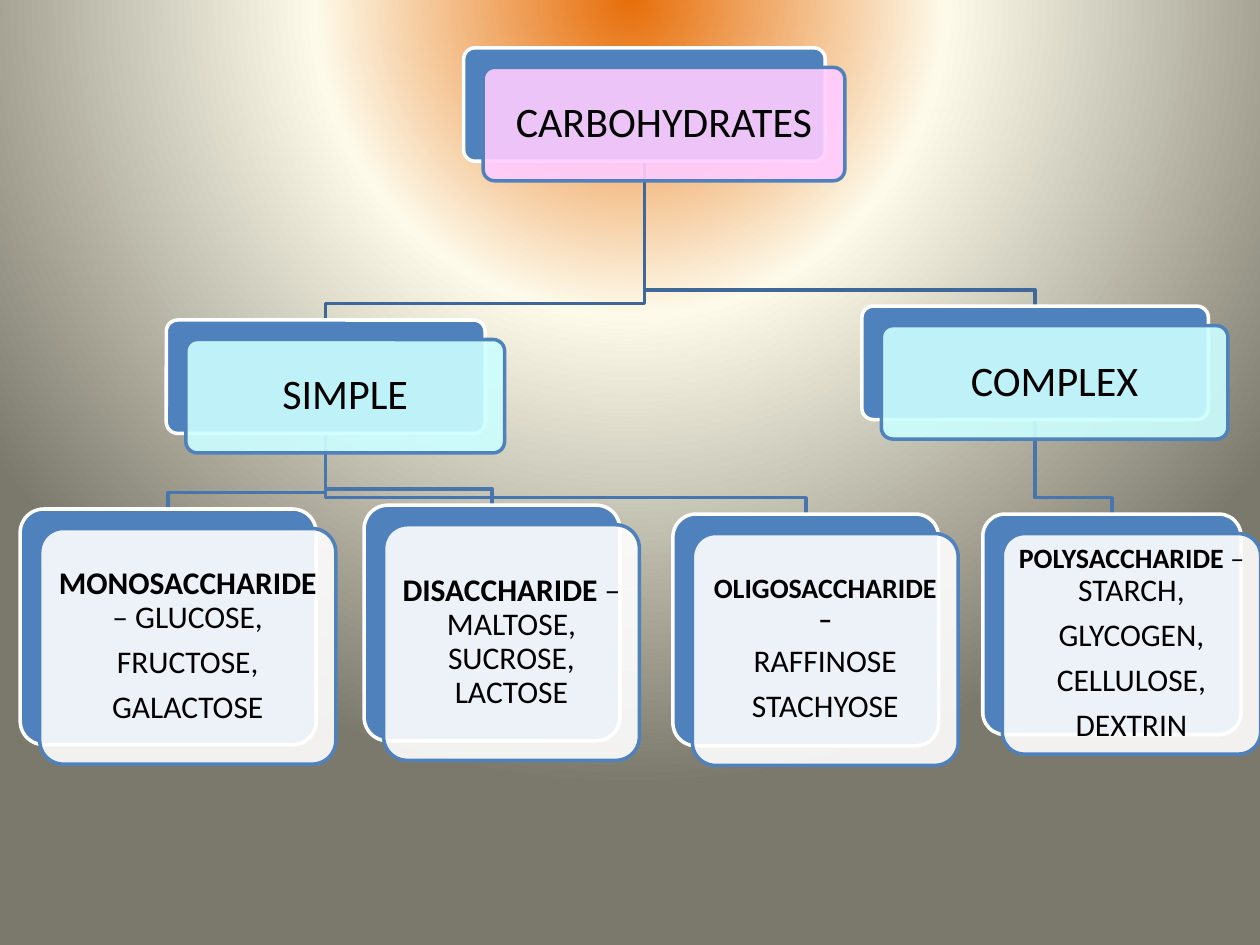
from lxml.etree import SubElement
from pptx import Presentation
from pptx.dml.color import RGBColor
from pptx.enum.shapes import MSO_SHAPE
from pptx.enum.text import MSO_ANCHOR, PP_ALIGN
from pptx.oxml import parse_xml
from pptx.oxml.ns import nsdecls, qn
from pptx.util import Inches, Pt

WIDTH, HEIGHT = 10, 7.5
BLUE = RGBColor(0x4F, 0x81, 0xBD)
WHITE = RGBColor(0xFF, 0xFF, 0xFF)
BLACK = RGBColor(0x00, 0x00, 0x00)
PINK = RGBColor(0xFF, 0xCC, 0xFF)
CYAN = RGBColor(0xCC, 0xFF, 0xFF)
UPPER_LINE = RGBColor(0x3F, 0x67, 0x97)
LOWER_LINE = RGBColor(0x48, 0x75, 0xAC)
BACKGROUND_STOPS = [(0, "E76E0A"), (40, "FDFAEA"), (100, "7B796B")]

FONT = "Calibri"
OFFSET = 0.155  # front card relative to back card
ELBOW = 0.13    # height of the last leg of a connector

# name: (left, top, width, height of back card), front fill, inset,
#       paragraphs of (text, size, bold) runs
CARDS = {
    "carbohydrates": ((3.68, 0.38, 2.87, 0.9), PINK, 0.1,
                      [[("CARBOHYDRATES", 24, False)]]),
    "simple": ((1.32, 2.54, 2.53, 0.9), CYAN, 0.1,
               [[("SIMPLE", 24, False)]]),
    "monosaccharide": ((0.16, 4.04, 2.35, 1.87), WHITE, 0.07,
                       [[("MONOSACCHARIDE", 18, True), (" – GLUCOSE,", 18, False)],
                        [("FRUCTOSE,", 18, False)],
                        [("GALACTOSE", 18, False)]]),
    "disaccharide": ((2.89, 4.01, 2.03, 1.87), WHITE, 0.07,
                     [[("DISACCHARIDE", 18, True),
                       (" – MALTOSE, SUCROSE, LACTOSE", 18, False)]]),
    "oligosaccharide": ((5.34, 4.08, 2.11, 1.84), WHITE, 0.07,
                        [[("OLIGOSACCHARIDE –", 16, True)],
                         [("RAFFINOSE", 18, False)],
                         [("STACHYOSE", 18, False)]]),
    "complex": ((6.84, 2.43, 2.75, 0.9), CYAN, 0.1,
                [[("COMPLEX", 24, False)]]),
    "polysaccharide": ((7.8, 4.08, 2.05, 1.75), WHITE, 0.07,
                       [[("POLYSACCHARIDE", 16, True), (" – ", 16, False),
                         ("STARCH,", 18, False)],
                        [("GLYCOGEN,", 18, False)],
                        [("CELLULOSE,", 18, False)],
                        [("DEXTRIN", 18, False)]]),
}

# parent, child, line colour
LINKS = [
    ("complex", "polysaccharide", LOWER_LINE),
    ("carbohydrates", "complex", UPPER_LINE),
    ("simple", "oligosaccharide", LOWER_LINE),
    ("simple", "disaccharide", LOWER_LINE),
    ("simple", "monosaccharide", LOWER_LINE),
    ("carbohydrates", "simple", UPPER_LINE),
]


def set_background(slide):
    stops = "".join(
        f'<a:gs pos="{position * 1000}"><a:srgbClr val="{color}"/></a:gs>'
        for position, color in BACKGROUND_STOPS)
    background = parse_xml(
        f'<p:bg {nsdecls("p", "a")}><p:bgPr><a:gradFill rotWithShape="1">'
        f'<a:gsLst>{stops}</a:gsLst><a:path path="circle">'
        '<a:fillToRect l="50000" t="-80000" r="50000" b="180000"/></a:path>'
        '</a:gradFill><a:effectLst/></p:bgPr></p:bg>')
    slide.element.cSld.insert(0, background)


def add_link(slide, parent, child, color):
    left, top, width, height = CARDS[parent][0]
    start_x, start_y = left + width / 2, top + height
    left, end_y, width, _ = CARDS[child][0]
    end_x, bend_y = left + width / 2, end_y - ELBOW
    builder = slide.shapes.build_freeform(Inches(start_x), Inches(start_y))
    corners = [(start_x, bend_y), (end_x, bend_y), (end_x, end_y)]
    builder.add_line_segments([(Inches(x), Inches(y)) for x, y in corners], close=False)
    link = builder.convert_to_shape()
    link.shadow.inherit = False
    link.fill.background()
    link.line.color.rgb = color
    link.line.width = Pt(2)


def add_plate(slide, box, fill, line):
    plate = slide.shapes.add_shape(MSO_SHAPE.ROUNDED_RECTANGLE, *map(Inches, box))
    plate.adjustments[0] = 0.1
    plate.shadow.inherit = False
    plate.fill.solid()
    plate.fill.fore_color.rgb = fill
    plate.line.color.rgb = line
    plate.line.width = Pt(2)
    return plate


def add_card(slide, box, fill, inset, paragraphs):
    left, top, width, height = box
    add_plate(slide, box, BLUE, WHITE)
    front = add_plate(slide, (left + OFFSET, top + OFFSET, width, height), fill, BLUE)
    color = front.fill._xPr.find(qn("a:solidFill"))[0]
    SubElement(color, qn("a:alpha"), val="90000")

    frame = front.text_frame
    frame.word_wrap = True
    frame.vertical_anchor = MSO_ANCHOR.MIDDLE
    frame.margin_left = frame.margin_right = Inches(inset)
    frame.margin_top = frame.margin_bottom = Inches(inset)
    for index, runs in enumerate(paragraphs):
        paragraph = frame.add_paragraph() if index else frame.paragraphs[0]
        paragraph.alignment = PP_ALIGN.CENTER
        paragraph.line_spacing = 0.9
        paragraph.space_after = Pt(0.35 * runs[-1][1])
        for text, size, bold in runs:
            run = paragraph.add_run()
            run.text = text
            run.font.name = FONT
            run.font.size = Pt(size)
            run.font.bold = bold
            run.font.color.rgb = BLACK


def main():
    presentation = Presentation()
    presentation.slide_width = Inches(WIDTH)
    presentation.slide_height = Inches(HEIGHT)
    slide = presentation.slides.add_slide(presentation.slide_layouts[6])
    set_background(slide)
    # Connectors lie behind the cards
    for link in LINKS:
        add_link(slide, *link)
    for card in CARDS.values():
        add_card(slide, *card)
    presentation.save("out.pptx")


if __name__ == "__main__":
    main()
